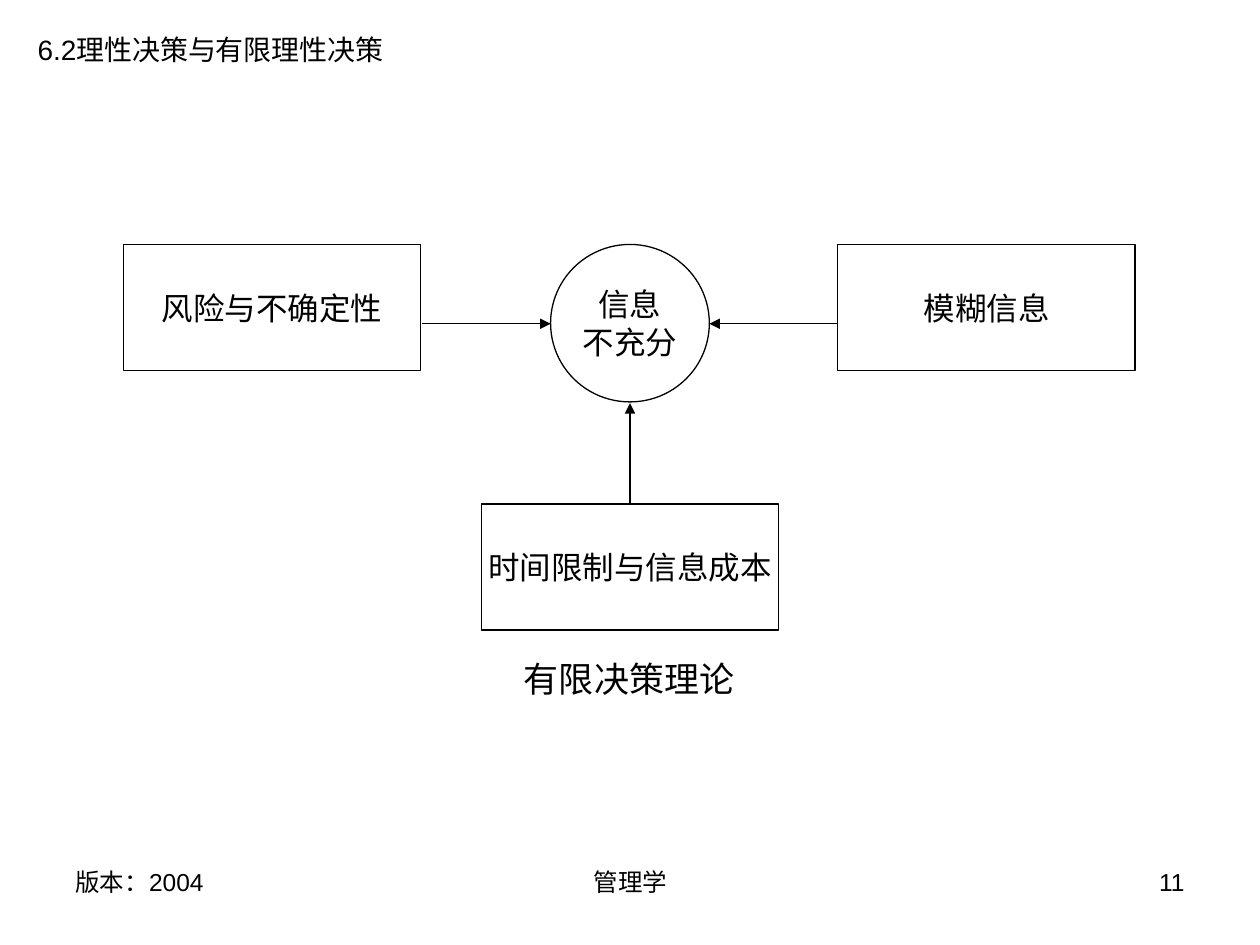
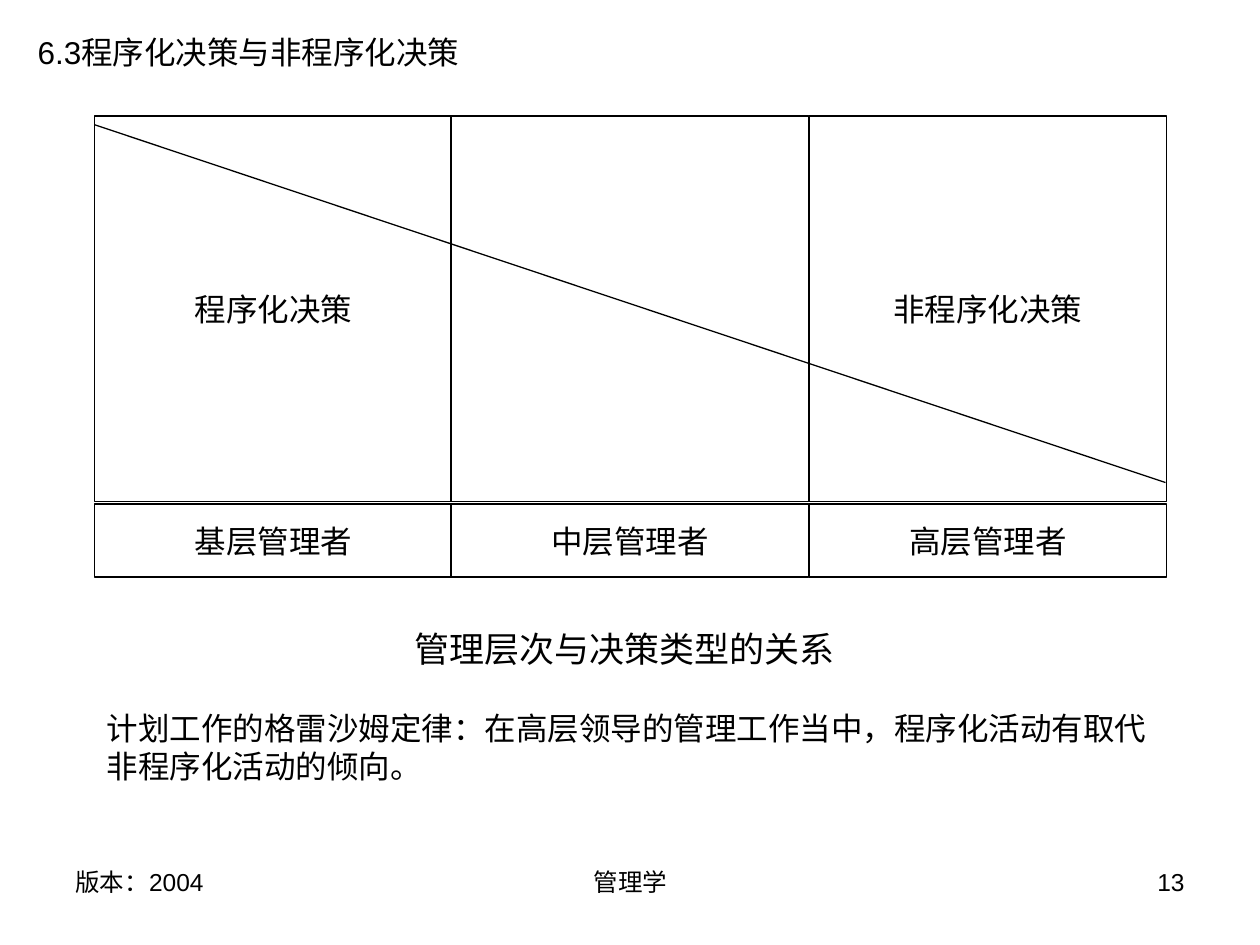
from lxml import etree
from pptx import Presentation, util as u
from pptx.dml.color import RGBColor
from pptx.enum import shapes, text
from pptx.oxml import ns

PX = 9144  # EMU per px, 100 px to the inch
BLACK = RGBColor(0x00, 0x00, 0x00)
WHITE = RGBColor(0xFF, 0xFF, 0xFF)
FONT = "Arial"
LINE_WIDTH = u.Pt(0.75)
LEFT, CENTER, RIGHT = text.PP_ALIGN.LEFT, text.PP_ALIGN.CENTER, text.PP_ALIGN.RIGHT
RECT, OVAL = shapes.MSO_SHAPE.RECTANGLE, shapes.MSO_SHAPE.OVAL
GROW = text.MSO_AUTO_SIZE.SHAPE_TO_FIT_TEXT


def emu(*lengths):
    return [u.Emu(length * PX) for length in lengths]


class Deck:
    """Holds the presentation, its style and the slide being filled."""

    def __init__(self):
        self.prs = Presentation()
        self.prs.slide_width, self.prs.slide_height = emu(1000, 750)
        self.slide = None

    def start(self, number):
        self.slide = self.prs.slides.add_slide(self.prs.slide_layouts[6])
        self.label("版本：2004", (50, 683, 233, 52), 14)
        self.label("管理学", (342, 683, 317, 52), 14, CENTER)
        self.label(str(number), (717, 683, 233, 52), 14, RIGHT)

    def set_words(self, shape, words, size, align, **frame_format):
        frame = shape.text_frame
        for key, value in frame_format.items():
            setattr(frame, key, value)
        frame.text = words
        for paragraph in frame.paragraphs:
            paragraph.alignment = align
            font = {"name": FONT, "size": u.Pt(size)}
            for key, value in font.items():
                setattr(paragraph.font, key, value)
            paragraph.font.color.rgb = BLACK

    def label(self, words, box, size, align=LEFT, **frame_format):
        holder = self.slide.shapes.add_textbox(*emu(*box))
        self.set_words(holder, words, size, align, word_wrap=True, **frame_format)

    def title(self, words, width, size):
        self.label(words, (20, 21, width, 40), size, auto_size=GROW)

    def caption(self, words, left, top, width):
        self.label(words, (left, top, width, 43), 20, auto_size=GROW)

    def node(self, words, box, kind=RECT):
        node = self.slide.shapes.add_shape(kind, *emu(*box))
        node.shadow.inherit = False
        node.fill.solid()
        node.fill.fore_color.rgb = WHITE
        self.outline(node)
        if words:
            self.set_words(node, words, 18, CENTER, word_wrap=False,
                           vertical_anchor=text.MSO_ANCHOR.MIDDLE)
        return node

    def outline(self, item):
        item.line.color.rgb = BLACK
        item.line.width = LINE_WIDTH

    def line(self, start, end, arrow=False):
        line = self.slide.shapes.add_connector(
            shapes.MSO_CONNECTOR.STRAIGHT, *emu(*start, *end))
        self.outline(line)
        if arrow:
            etree.SubElement(line.get_or_add_ln(), ns.qn("a:tailEnd"),
                             type="triangle")
        etree.SubElement(line.element.spPr, ns.qn("a:effectLst"))
        return line


def bounded_rationality(deck):
    deck.start(11)
    middle_x, middle_y = 500, 257
    deck.node("信息\n不充分", (437, 194, 126, 125), OVAL)
    deck.node("模糊信息", (665, 194, 236, 100))
    limits = deck.node("时间限制与信息成本", (382, 400, 236, 100))
    deck.node("风险与不确定性", (98, 194, 236, 100))
    deck.line((335, middle_y), (437, middle_y), arrow=True)
    deck.line((665, middle_y), (563, middle_y), arrow=True)
    rising = deck.line((middle_x, 400), (middle_x, 320), arrow=True)
    rising.begin_connect(limits, 0)
    deck.caption("有限决策理论", 406, 517, 189)
    deck.title("6.2理性决策与有限理性决策", 299, 16)


def programmed_decisions(deck):
    deck.start(13)
    left, width = 75, 850
    columns = [("程序化决策", "基层管理者"),
               ("", "中层管理者"),
               ("非程序化决策", "高层管理者")]
    for index, (decision, manager) in enumerate(columns):
        x = left + round(width * index / len(columns))
        deck.node(decision, (x, 92, 284, 306))
        deck.node(manager, (x, 400, 284, 58))
    deck.line((left, 99), (left + width, 383))
    deck.label("计划工作的格雷沙姆定律：在高层领导的管理工作当中，"
               "程序化活动有取代非程序化活动的倾向。",
               (left, 558, width, 70), 18, auto_size=GROW)
    deck.caption("管理层次与决策类型的关系", 319, 493, 362)
    deck.title("6.3程序化决策与非程序化决策", 362, 18)


def main():
    deck = Deck()
    bounded_rationality(deck)
    programmed_decisions(deck)
    deck.prs.save("out.pptx")


if __name__ == "__main__":
    main()
